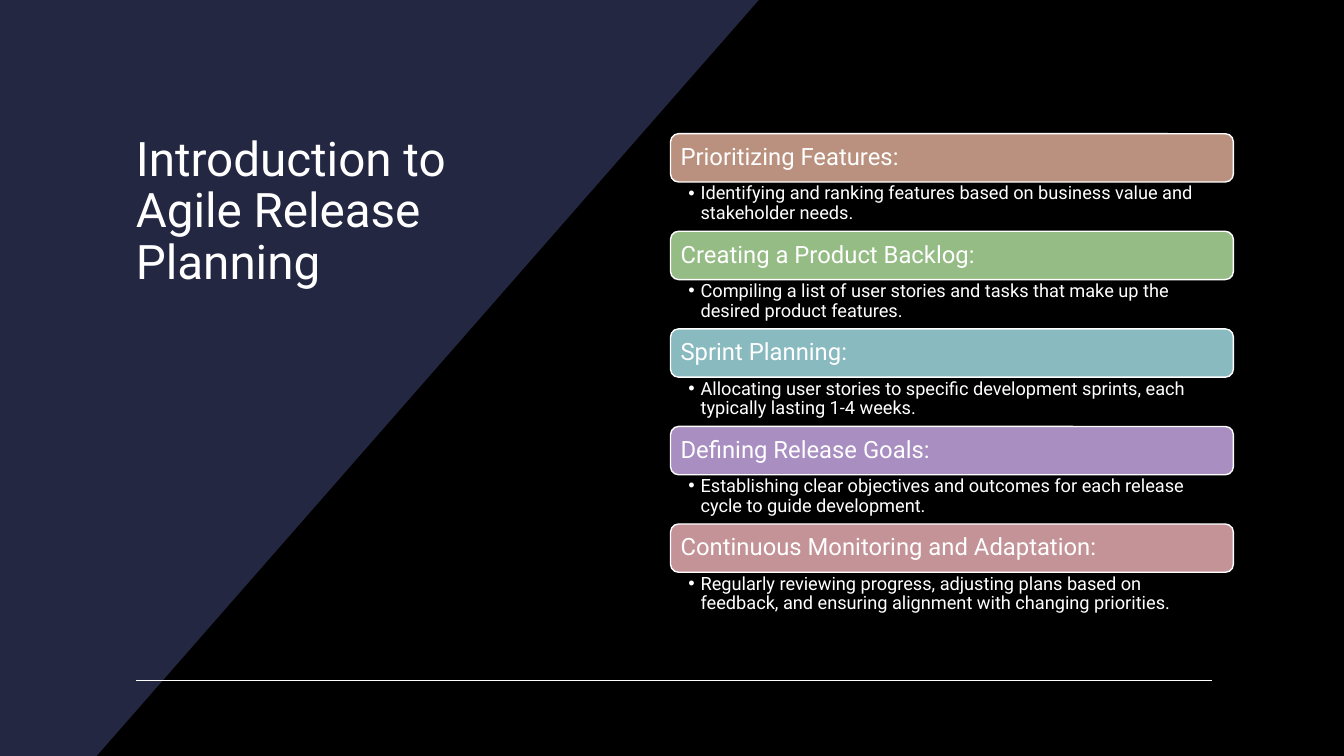
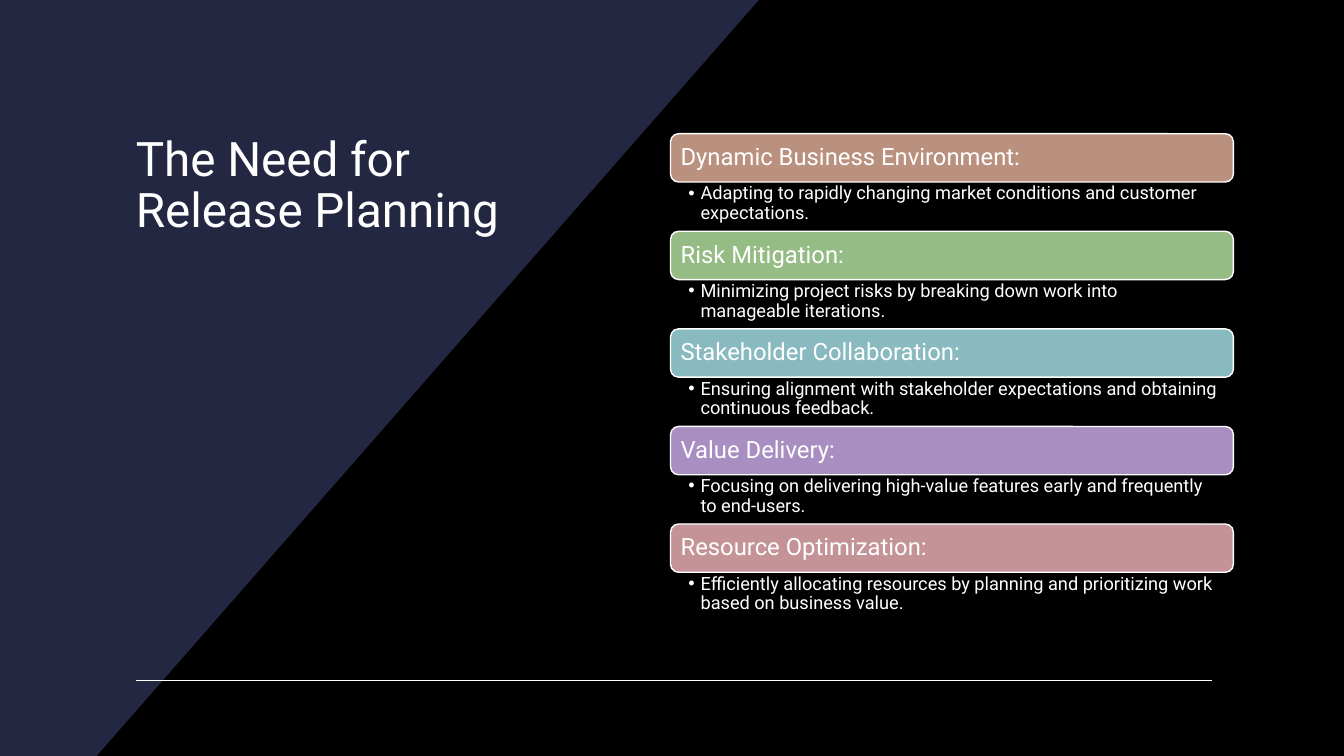
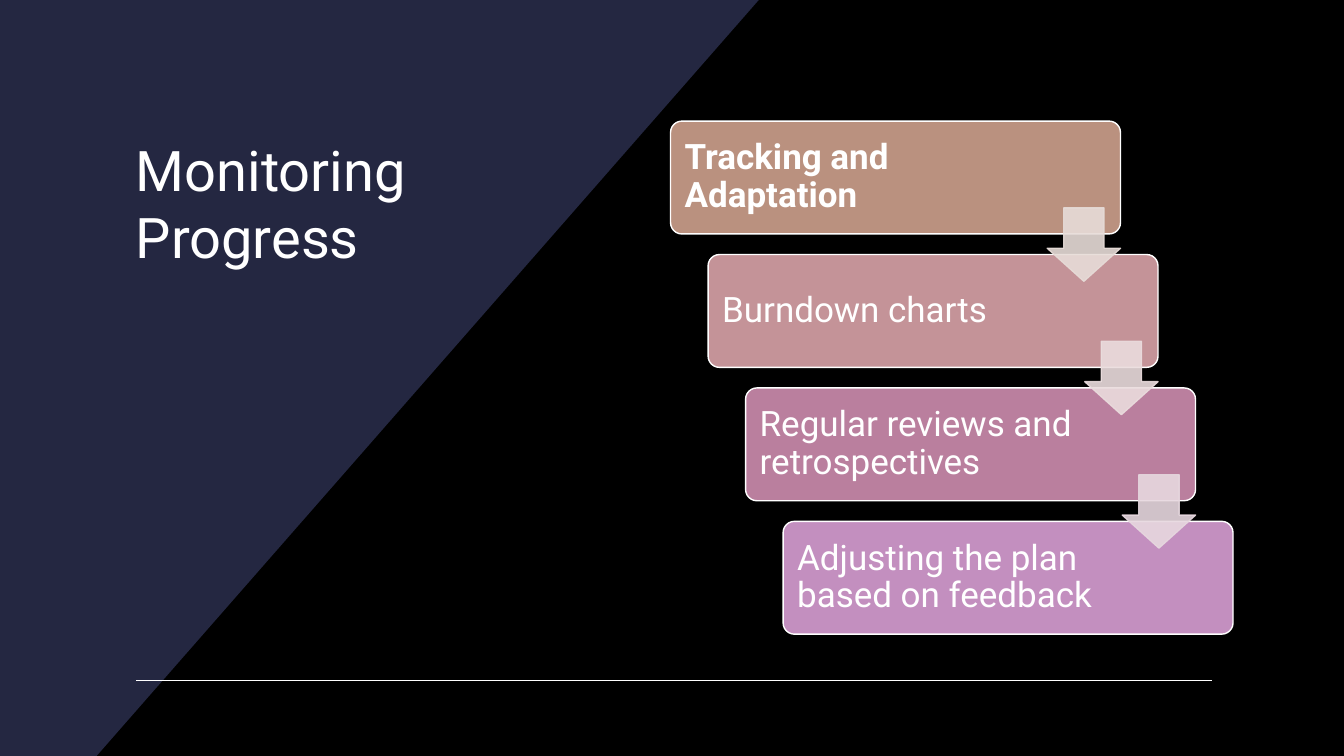
"""Build three agile release planning slides with a shared diagonal backdrop."""
from lxml import etree
from pptx import Presentation
from pptx.dml.color import RGBColor
from pptx.enum import shapes, text
from pptx.oxml.ns import qn
from pptx.util import Pt

BLACK, NAVY, WHITE = "000000", "242741", "FFFFFF"
BAR_COLORS = ["BA917F", "95BC84", "89BABF", "A88EC1", "C49398"]
STEP_COLORS = ["BA917F", "C49398", "BA7F9E", "C38FBF"]
ARROW_COLORS = ["E7DCD8", "EADCDD", "E7D8DF"]


def color(value):
    return RGBColor.from_string(value)


def write(shape, words, size, insets, anchor, spacing=0.9, bold=False, bullet=False):
    frame = shape.text_frame
    frame.word_wrap = True
    frame.vertical_anchor = anchor
    frame.margin_left, frame.margin_top, frame.margin_right, frame.margin_bottom = map(Pt, insets)
    paragraph = frame.paragraphs[0]
    paragraph.text = words
    paragraph.alignment = text.PP_ALIGN.LEFT
    paragraph.line_spacing = spacing
    if bullet:
        properties = paragraph._p.get_or_add_pPr()
        properties.set("marL", str(Pt(8.64)))
        properties.set("indent", str(-Pt(8.64)))
        etree.SubElement(properties, qn("a:buFont"), typeface="Arial")
        etree.SubElement(properties, qn("a:buChar"), char="•")
    paragraph.font.name = "Roboto"
    paragraph.font.size = Pt(size)
    paragraph.font.bold = bold
    paragraph.font.color.rgb = color(WHITE)


topic_slides = {
    "Introduction to Agile Release Planning": [
        ("Prioritizing Features:",
         "Identifying and ranking features based on business value and stakeholder needs."),
        ("Creating a Product Backlog:",
         "Compiling a list of user stories and tasks that make up the desired product features."),
        ("Sprint Planning:",
         "Allocating user stories to specific development sprints, each typically lasting 1-4 weeks."),
        ("Defining Release Goals:",
         "Establishing clear objectives and outcomes for each release cycle to guide development."),
        ("Continuous Monitoring and Adaptation:",
         "Regularly reviewing progress, adjusting plans based on feedback, and ensuring alignment "
         "with changing priorities."),
    ],
    "The Need for Release Planning": [
        ("Dynamic Business Environment:",
         "Adapting to rapidly changing market conditions and customer expectations."),
        ("Risk Mitigation:",
         "Minimizing project risks by breaking down work into manageable iterations."),
        ("Stakeholder Collaboration:",
         "Ensuring alignment with stakeholder expectations and obtaining continuous feedback."),
        ("Value Delivery:",
         "Focusing on delivering high-value features early and frequently to end-users."),
        ("Resource Optimization:",
         "Efficiently allocating resources by planning and prioritizing work based on business value."),
    ],
}
step_title = "Monitoring Progress"
steps = ["Tracking and Adaptation", "Burndown charts", "Regular reviews and retrospectives",
         "Adjusting the plan based on feedback"]

presentation = Presentation()
presentation.slide_width, presentation.slide_height = Pt(960), Pt(540)

for title in [*topic_slides, step_title]:
    slide = presentation.slides.add_slide(presentation.slide_layouts[6])
    slide.background.fill.solid()
    slide.background.fill.fore_color.rgb = color(BLACK)

    outline = slide.shapes.build_freeform(0, 0, scale=Pt(1))
    outline.add_line_segments([(542, 0), (69, 540), (0, 540)], close=True)
    backdrop = outline.convert_to_shape()
    backdrop.shadow.inherit = False
    backdrop.fill.solid()
    backdrop.fill.fore_color.rgb = color(NAVY)
    backdrop.line.fill.background()

    is_steps = title == step_title
    heading = slide.shapes.add_textbox(Pt(90), Pt(93), Pt(278), Pt(123))
    write(heading, title, 40 if is_steps else 34, (7.2, 3.6, 7.2, 3.6), text.MSO_ANCHOR.TOP,
          spacing=1.0 if is_steps else 0.9)

    rule = slide.shapes.add_connector(shapes.MSO_CONNECTOR.STRAIGHT, Pt(97.2), Pt(486), Pt(865.4), Pt(486))
    rule.line.color.rgb = color(WHITE)
    rule.line.width = Pt(1)
    etree.SubElement(rule._element.spPr, qn("a:effectLst"))

    for index, (label, detail) in enumerate(topic_slides.get(title, [])):
        top = 95.5 + index * 69.7
        bar = slide.shapes.add_shape(shapes.MSO_SHAPE.ROUNDED_RECTANGLE, Pt(479), Pt(top), Pt(402), Pt(34.5))
        bar.shadow.inherit = False
        bar.fill.solid()
        bar.fill.fore_color.rgb = color(BAR_COLORS[index])
        bar.line.color.rgb = color(WHITE)
        bar.line.width = Pt(1)
        write(bar, label, 17, (5.5, 3, 5.5, 3), text.MSO_ANCHOR.MIDDLE)
        note = slide.shapes.add_textbox(Pt(479), Pt(top + 34.5), Pt(402), Pt(35.2))
        write(note, detail, 13, (12.8, 1.6, 9.2, 1.6), text.MSO_ANCHOR.TOP, bullet=True)

for index, label in enumerate(steps):
    box = slide.shapes.add_shape(shapes.MSO_SHAPE.ROUNDED_RECTANGLE, Pt(479 + index * 26.8),
                                 Pt(86.5 + index * 95.3), Pt(321.4), Pt(80.6))
    box.adjustments[0] = 0.1
    box.shadow.inherit = False
    box.fill.solid()
    box.fill.fore_color.rgb = color(STEP_COLORS[index])
    box.line.color.rgb = color(WHITE)
    box.line.width = Pt(1)
    write(box, label, 25, (7.7, 5, 86, 5), text.MSO_ANCHOR.MIDDLE, bold=index == 0)

for index, shade in enumerate(ARROW_COLORS):
    arrow = slide.shapes.add_shape(shapes.MSO_SHAPE.DOWN_ARROW, Pt(748 + index * 26.8),
                                   Pt(148.5 + index * 95.3), Pt(52.4), Pt(52.4))
    arrow.adjustments[0], arrow.adjustments[1] = 0.55, 0.45
    arrow.shadow.inherit = False
    arrow.fill.solid()
    arrow.fill.fore_color.rgb = color(shade)
    arrow.line.color.rgb = color(shade)
    arrow.line.width = Pt(1)
    for tint in arrow._element.spPr.iter(qn("a:srgbClr")):
        etree.SubElement(tint, qn("a:alpha"), val="90000")

presentation.save("out.pptx")
